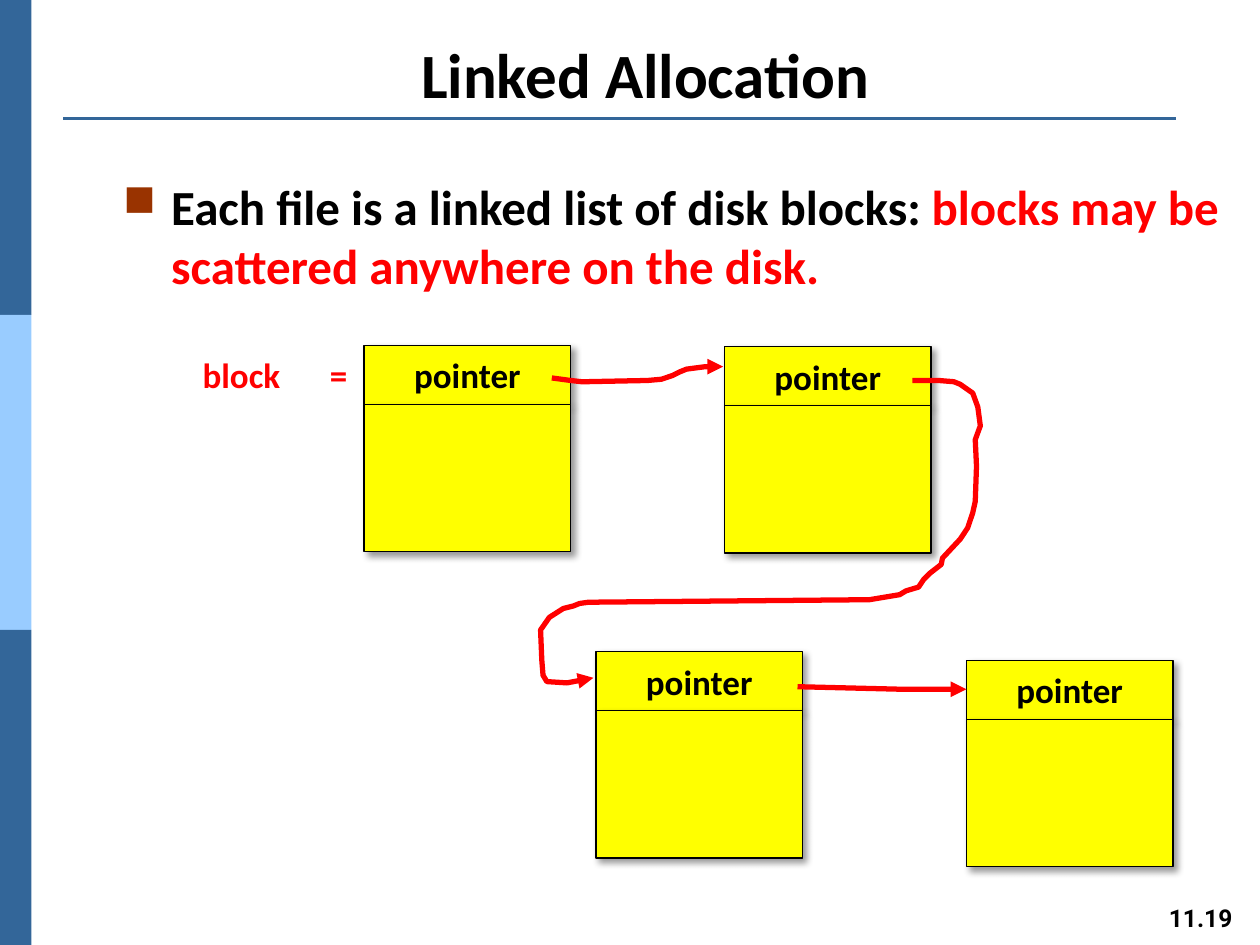
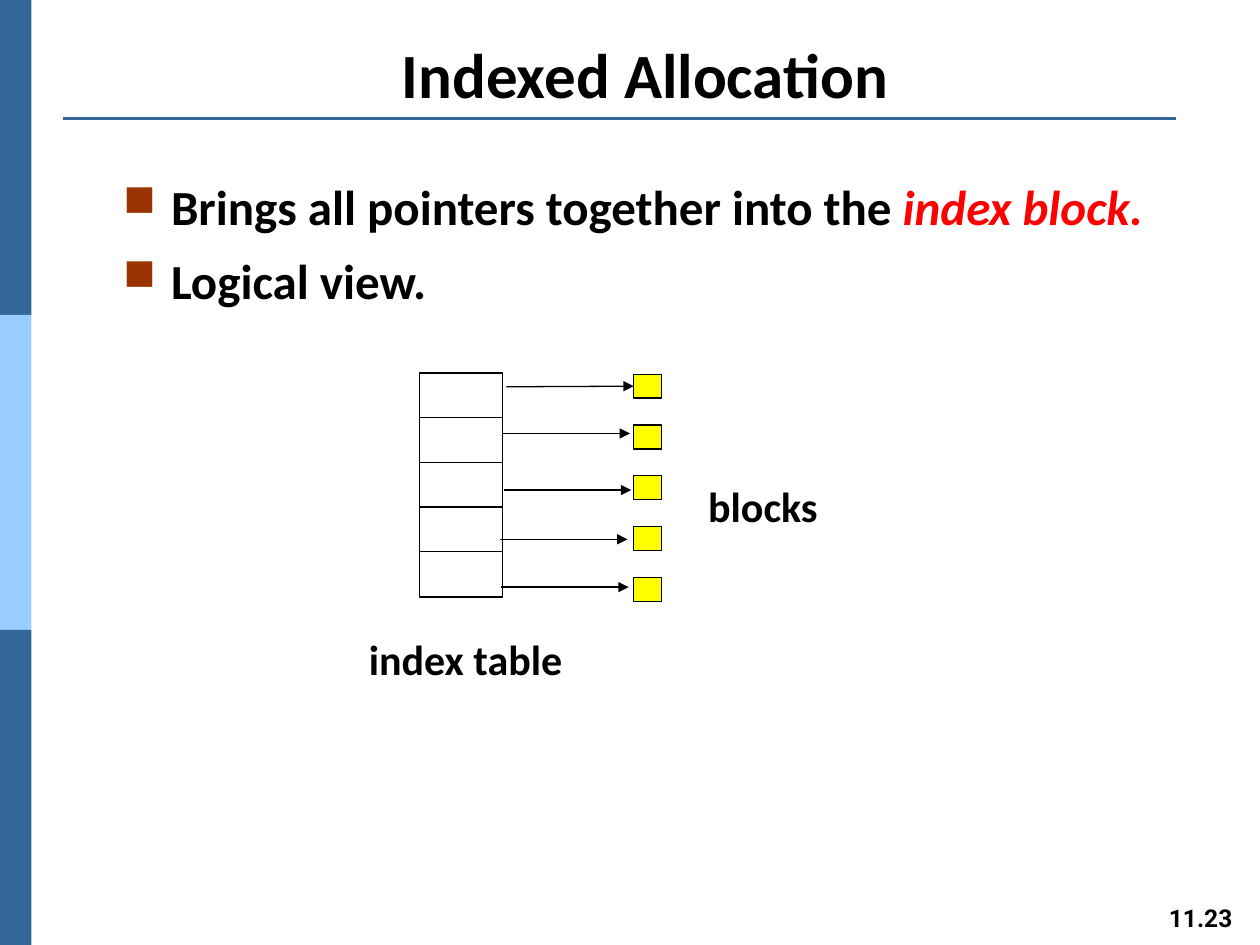
from lxml.etree import SubElement as Sub
from pptx import Presentation
from pptx.dml.color import RGBColor
from pptx.enum.shapes import MSO_CONNECTOR as Link, MSO_SHAPE as Kind
from pptx.enum.text import MSO_ANCHOR as Anchor, MSO_AUTO_SIZE as Auto, PP_ALIGN as Align
from pptx.oxml.ns import qn
from pptx.util import Inches, Pt

BLACK = RGBColor(0, 0, 0)
WHITE = RGBColor(255, 255, 255)
RED = RGBColor(255, 0, 0)
YELLOW = RGBColor(255, 255, 0)
NAVY = RGBColor(0x33, 0x66, 0x99)
SKY = RGBColor(0x99, 0xCC, 0xFF)
RUST = RGBColor(0x99, 0x33, 0x00)


def write(frame, *paras, size=20, color=BLACK, face="Calibri", align=Align.CENTER,
          anchor=Anchor.TOP, wrap=False, gap=0, bullet=False, tab=None):
    """Fill a text frame; a paragraph is a string or a list of (text, color, italic)."""
    frame.word_wrap, frame.vertical_anchor = wrap, anchor
    frame.auto_size = Auto.NONE
    for i, runs in enumerate(paras):
        para = frame.paragraphs[0] if i == 0 else frame.add_paragraph()
        if bullet:
            mark(para)
        if tab:
            stops = Sub(para._p.get_or_add_pPr(), qn("a:tabLst"))
            Sub(stops, qn("a:tab"), pos=str(Inches(tab)), algn="l")
        para.alignment = align
        if i:
            para.space_before = Pt(gap)
        if isinstance(runs, str):
            runs = [(runs, color, False)]
        for text, ink, slant in runs:
            run = para.add_run()
            run.text = text
            font = run.font
            font.name, font.size, font.bold, font.italic = face, Pt(size), True, slant
            font.color.rgb = ink


def mark(para):
    """Give a paragraph a hanging square bullet."""
    props = para._p.get_or_add_pPr()
    props.set("marL", str(Inches(0.38)))
    props.set("indent", str(Inches(-0.38)))
    Sub(Sub(props, qn("a:buClr")), qn("a:srgbClr"), val=str(RUST))
    Sub(props, qn("a:buSzPct"), val="90000")
    Sub(props, qn("a:buChar"), char="■")


def label(slide, box, *paras, **form):
    """Add a text box and write into it."""
    area = slide.shapes.add_textbox(*map(Inches, box))
    write(area.text_frame, *paras, **form)


def rect(slide, box, fill, line=BLACK, shade=False):
    """Add a filled rectangle, with an outline or a soft shadow if asked."""
    shape = slide.shapes.add_shape(Kind.RECTANGLE, *map(Inches, box))
    shape.shadow.inherit = False
    shape.fill.solid()
    shape.fill.fore_color.rgb = fill
    if line is None:
        shape.line.fill.background()
    else:
        shape.line.color.rgb, shape.line.width = line, Pt(0.75)
    if shade:
        effects = shape.element.spPr.find(qn("a:effectLst"))
        cast = Sub(effects, qn("a:outerShdw"), blurRad=str(Pt(4)), dist=str(Pt(3)),
                   dir="2700000", algn="tl", rotWithShape="0")
        tint = Sub(cast, qn("a:srgbClr"), val=str(BLACK))
        Sub(tint, qn("a:alpha"), val="40000")
    return shape


def head(shape):
    """Put an arrowhead at the end of a line."""
    Sub(shape.element.spPr.find(qn("a:ln")), qn("a:tailEnd"), type="triangle")


def rule(slide, start, end, color=BLACK, width=0.75):
    """Draw a straight line without shadow."""
    line = slide.shapes.add_connector(Link.STRAIGHT, *map(Inches, start + end))
    line.line.color.rgb, line.line.width = color, Pt(width)
    Sub(line.element.spPr, qn("a:effectLst"))
    return line


def trail(slide, points):
    """Draw a red open path that ends in an arrowhead."""
    first, *rest = [(Inches(x), Inches(y)) for x, y in points]
    pen = slide.shapes.build_freeform(*first)
    pen.add_line_segments(rest, close=False)
    shape = pen.convert_to_shape()
    shape.shadow.inherit = False
    shape.fill.background()
    shape.line.color.rgb, shape.line.width = RED, Pt(3)
    head(shape)


def start(deck, title, number, *points):
    """Add a slide with side bands, title, rule, number and bullet points."""
    slide = deck.slides.add_slide(deck.slide_layouts[5])
    for i, color in enumerate((NAVY, SKY, NAVY)):
        rect(slide, (0, 2.5 * i, 0.25, 2.5), color, None)
    rule(slide, (0.5, 0.94), (9.33, 0.94), NAVY, 1.5)
    label(slide, (9.18, 7.12, 0.7, 0.34), number, size=14, face="Roboto")
    name = slide.shapes.title
    name.left, name.top, name.width, name.height = map(Inches, (0.62, 0.3, 9, 0.63))
    write(name.text_frame, title, size=36, anchor=Anchor.BOTTOM, wrap=True)
    label(slide, (0.88, 1.35, 9, 1.03), *points, size=28, align=Align.LEFT,
          wrap=True, gap=9, bullet=True)
    return slide


def block(slide, left, top):
    """Draw a disk block: a pointer field above its data."""
    field = rect(slide, (left, top, 1.64, 0.47), YELLOW, shade=True)
    write(field.text_frame, "pointer", anchor=Anchor.MIDDLE)
    rect(slide, (left, top + 0.47, 1.64, 1.17), YELLOW, shade=True)


def linked(deck):
    """Build the slide on linked allocation."""
    slide = start(deck, "Linked Allocation", "11.19",
                  [("Each file is a linked list of disk blocks: ", BLACK, False),
                   ("blocks may be scattered anywhere on the disk.", RED, False)])
    label(slide, (1.51, 2.75, 1.36, 0.44), "block\t=", color=RED, align=Align.LEFT,
          anchor=Anchor.MIDDLE, wrap=True, tab=1.01)
    for left, top in ((2.89, 2.74), (5.75, 2.75), (4.73, 5.17), (7.67, 5.24)):
        block(slide, left, top)
    trail(slide, [(4.38, 3), (4.53, 3.02), (4.62, 3.03), (5.14, 3.02), (5.25, 3.01),
                  (5.34, 2.98), (5.4, 2.95), (5.45, 2.93), (5.6, 2.91), (5.74, 2.91)])
    trail(slide, [(7.24, 3.02), (7.45, 3.02), (7.57, 3.03), (7.62, 3.05), (7.72, 3.12),
                  (7.76, 3.23), (7.78, 3.38), (7.74, 3.49), (7.75, 3.7), (7.74, 3.98),
                  (7.72, 4.07), (7.68, 4.19), (7.62, 4.28), (7.48, 4.43), (7.47, 4.48),
                  (7.38, 4.55), (7.33, 4.6), (7.29, 4.66), (7.19, 4.69), (7.14, 4.72),
                  (6.9, 4.76), (4.67, 4.78), (4.6, 4.79), (4.55, 4.81), (4.47, 4.83),
                  (4.36, 4.9), (4.29, 5), (4.3, 5.24), (4.31, 5.36), (4.34, 5.41),
                  (4.5, 5.42), (4.71, 5.38)])
    trail(slide, [(6.33, 5.45), (7.15, 5.47), (7.67, 5.47)])


def index(slide, left, top):
    """Draw the index table, its blocks and the arrows between them."""
    for i in range(5):
        rect(slide, (left, top + 0.355 * i, 0.66, 0.36), WHITE)
    goals = [rect(slide, (left + 1.7, top + 0.01 + 0.403 * i, 0.22, 0.19), YELLOW)
             for i in range(5)]
    tips = ((0.69, 0.11), (0.66, 0.48), (0.67, 0.93), (0.64, 1.32), (0.65, 1.7))
    for i, (x, y) in enumerate(tips):
        arrow = rule(slide, (left + x, top + y), (left + x + 1.01, top + y))
        if i == 0:
            arrow.end_connect(goals[i], 1)
        head(arrow)
    for text, box in (("index table", (left - 0.54, top + 2.02, 1.81, 0.5)),
                      ("blocks", (left + 2.16, top + 0.8, 1.13, 0.5))):
        label(slide, box, text, size=24, anchor=Anchor.MIDDLE)


def indexed(deck):
    """Build the slide on indexed allocation."""
    slide = start(deck, "Indexed Allocation", "11.23",
                  [("Brings all pointers together into the ", BLACK, False),
                   ("index block.", RED, True)], "Logical view.")
    index(slide, 3.33, 2.96)


def main():
    """Build and save the deck."""
    deck = Presentation()
    deck.slide_width, deck.slide_height = Inches(10), Inches(7.5)
    linked(deck)
    indexed(deck)
    deck.save("out.pptx")


if __name__ == "__main__":
    main()
